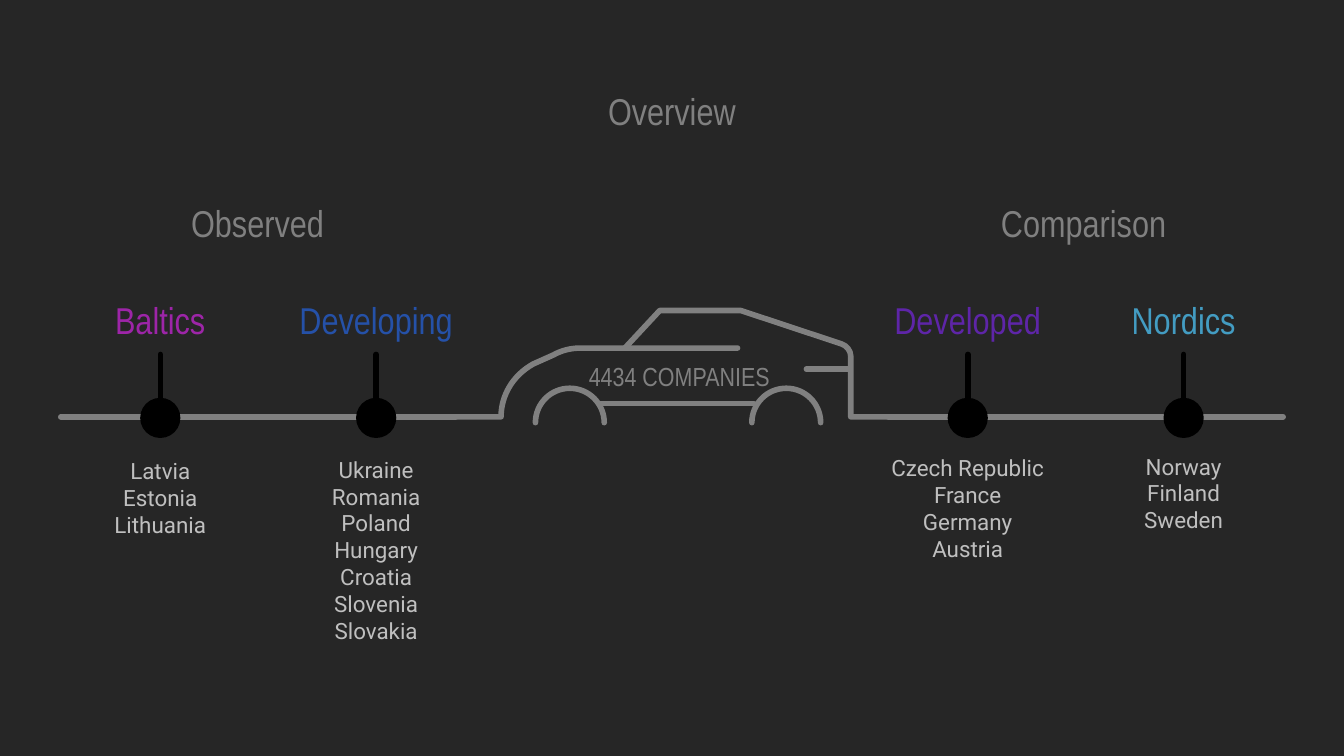
from dataclasses import dataclass

from lxml.etree import SubElement
from pptx import Presentation
from pptx.dml.color import RGBColor
from pptx.enum.shapes import MSO_CONNECTOR as Connector, MSO_SHAPE as Shape
from pptx.enum.text import MSO_ANCHOR as Anchor, PP_ALIGN as Align
from pptx.oxml.ns import qn
from pptx.util import Cm, Pt

COLORS = {
    "background": "262626", "gray": "808080", "list": "BFBFBF", "black": "000000",
    "baltics": "9D25A8", "developing": "2551A8",
    "developed": "5E25A8", "nordics": "439CC2",
}
HEADING_FONT, LIST_FONT = "Arial Narrow", "Roboto"
AXIS_Y = 7.88
COLUMN_WIDTH = 3.78
DOT_SIZE = 0.76

Point = tuple[float, float]
Segment = tuple[Point, ...]  # one point: straight, three points: Bezier curve


@dataclass
class Label:
    text: str
    center: float
    top: float
    width: float
    height: float
    color: str = "gray"
    size: int = 20
    font: str = HEADING_FONT
    spacing: float = 1.0


@dataclass
class Region:
    name: str
    center: float
    color: str
    countries: list[str]
    list_height: float


LABELS = [
    Label("Overview", 12.7, 1.5, 21.9, 1.3, spacing=0.9),
    Label("Observed", 4.87, 3.61, COLUMN_WIDTH, 1.19),
    Label("Comparison", 20.48, 3.61, COLUMN_WIDTH, 1.19),
    Label("4434 COMPANIES", 12.84, 6.58, 4.04, 1.07, size=14),
]

REGIONS = [
    Region("Baltics", 3.03, "baltics", ["Latvia", "Estonia", "Lithuania"], 1.52),
    Region("Developing", 7.11, "developing",
           ["Ukraine", "Romania", "Poland", "Hungary", "Croatia", "Slovenia",
            "Slovakia"], 3.51),
    Region("Developed", 18.29, "developed",
           ["Czech Republic", "France", "Germany", "Austria"], 1.92),
    Region("Nordics", 22.37, "nordics", ["Norway", "Finland", "Sweden"], 1.36),
]


def rgb(name: str) -> RGBColor:
    return RGBColor.from_string(COLORS[name])


def style_line(shape, color: str) -> None:
    """Give a stroke its colour, width and round ends."""
    shape.line.color.rgb = rgb(color)
    shape.line.width = Pt(3)
    outline = shape.line._get_or_add_ln()
    outline.set("cap", "rnd")
    SubElement(outline, qn("a:round"))


def add_line(page, start: Point, end: Point, color: str = "gray") -> None:
    line = page.shapes.add_connector(
        Connector.STRAIGHT, *(Cm(value) for value in start + end))
    style_line(line, color)
    SubElement(line._element.spPr, qn("a:effectLst"))


def add_outline(page, start: Point, segments: list[Segment]) -> None:
    """Draw an open outline of straight and curved segments."""
    builder = page.shapes.build_freeform(Cm(start[0]), Cm(start[1]))
    builder.add_line_segments(
        [(Cm(x), Cm(y)) for segment in segments for x, y in segment], close=False)
    outline = builder.convert_to_shape()
    outline.shadow.inherit = False
    outline.fill.background()
    style_line(outline, "gray")

    # Join each group of three points into one Bezier curve
    steps = iter(list(outline._element.iter(qn("a:lnTo"))))
    for segment in segments:
        group = [next(steps) for _ in segment]
        if len(group) == 3:
            bezier = group[0].makeelement(qn("a:cubicBezTo"))
            group[0].addprevious(bezier)
            for step in group:
                bezier.append(step[0])
                step.getparent().remove(step)


def add_label(page, label: Label) -> None:
    box = page.shapes.add_textbox(
        Cm(label.center - label.width / 2), Cm(label.top),
        Cm(label.width), Cm(label.height))
    frame = box.text_frame
    frame.word_wrap = True
    frame.vertical_anchor = Anchor.MIDDLE
    frame.margin_left = frame.margin_right = Cm(0.25)
    frame.margin_top = frame.margin_bottom = Cm(0.25)
    frame.text = label.text
    for para in frame.paragraphs:
        para.alignment = Align.CENTER
        para.line_spacing = label.spacing
        for span in para.runs:
            span.font.name = label.font
            span.font.size = Pt(label.size)
            span.font.color.rgb = rgb(label.color)


def add_wheel_arch(page, center: float) -> None:
    radius, handle, bottom = 0.65, 0.36, 7.99
    top = bottom - radius
    left, right = center - radius, center + radius
    add_outline(page, (left, bottom), [
        ((left, bottom - handle), (center - handle, top), (center, top)),
        ((center + handle, top), (right, bottom - handle), (right, bottom)),
    ])


def add_car(page) -> None:
    # Hood
    add_outline(page, (8.36, AXIS_Y), [
        ((9.47, AXIS_Y),),
        ((9.47, 7.47), (9.7, 7.09), (10.08, 6.88)),
        ((10.46, 6.71),),
        ((10.62, 6.62), (10.8, 6.58), (10.97, 6.58)),
        ((13.94, 6.58),),
    ])
    # Rear, roof and windscreen
    add_outline(page, (17.04, AXIS_Y), [
        ((16.08, AXIS_Y),),
        ((16.08, 6.73),),
        ((16.08, 6.63), (16, 6.53), (15.9, 6.5)),
        ((14, 5.87),), ((12.47, 5.87),), ((11.81, 6.58),),
    ])
    for center in (10.77, 14.86):
        add_wheel_arch(page, center)
    # Sill and tail light
    add_line(page, (11.33, 7.63), (14.25, 7.63))
    add_line(page, (15.24, 6.98), (16.03, 6.98))


def add_region(page, region: Region) -> None:
    add_label(page, Label(region.name, region.center, 5.44, COLUMN_WIDTH, 1.19,
                          region.color))
    add_label(page, Label("\n".join(region.countries), region.center, 8.64,
                          COLUMN_WIDTH, region.list_height, "list", 12, LIST_FONT))
    dot = page.shapes.add_shape(
        Shape.OVAL, Cm(region.center - DOT_SIZE / 2), Cm(AXIS_Y + 0.02 - DOT_SIZE / 2),
        Cm(DOT_SIZE), Cm(DOT_SIZE))
    dot.shadow.inherit = False
    dot.fill.solid()
    dot.fill.fore_color.rgb = rgb("black")
    dot.line.fill.background()
    add_line(page, (region.center, 6.7), (region.center, 7.62), "black")


def main() -> None:
    deck = Presentation()
    deck.slide_width, deck.slide_height = Cm(25.4), Cm(14.29)
    page = deck.slides.add_slide(deck.slide_layouts[6])
    page.background.fill.solid()
    page.background.fill.fore_color.rgb = rgb("background")

    # Car and the axis on both sides of it
    add_car(page)
    add_line(page, (1.15, AXIS_Y), (8.61, AXIS_Y))
    add_line(page, (16.79, AXIS_Y), (24.25, AXIS_Y))

    # Regions along the axis, then headings
    for region in REGIONS:
        add_region(page, region)
    for label in LABELS:
        add_label(page, label)

    deck.save("out.pptx")


if __name__ == "__main__":
    main()
